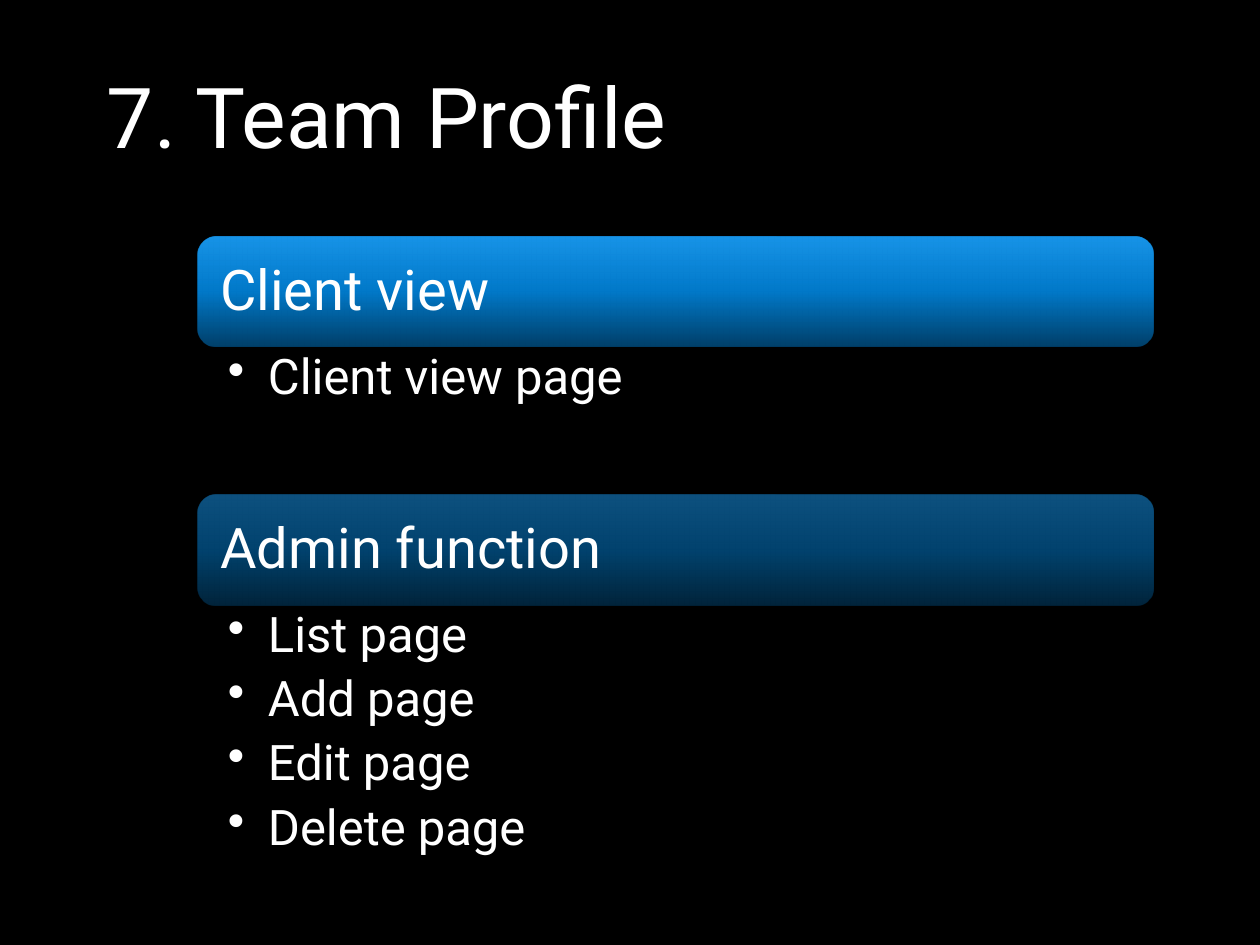
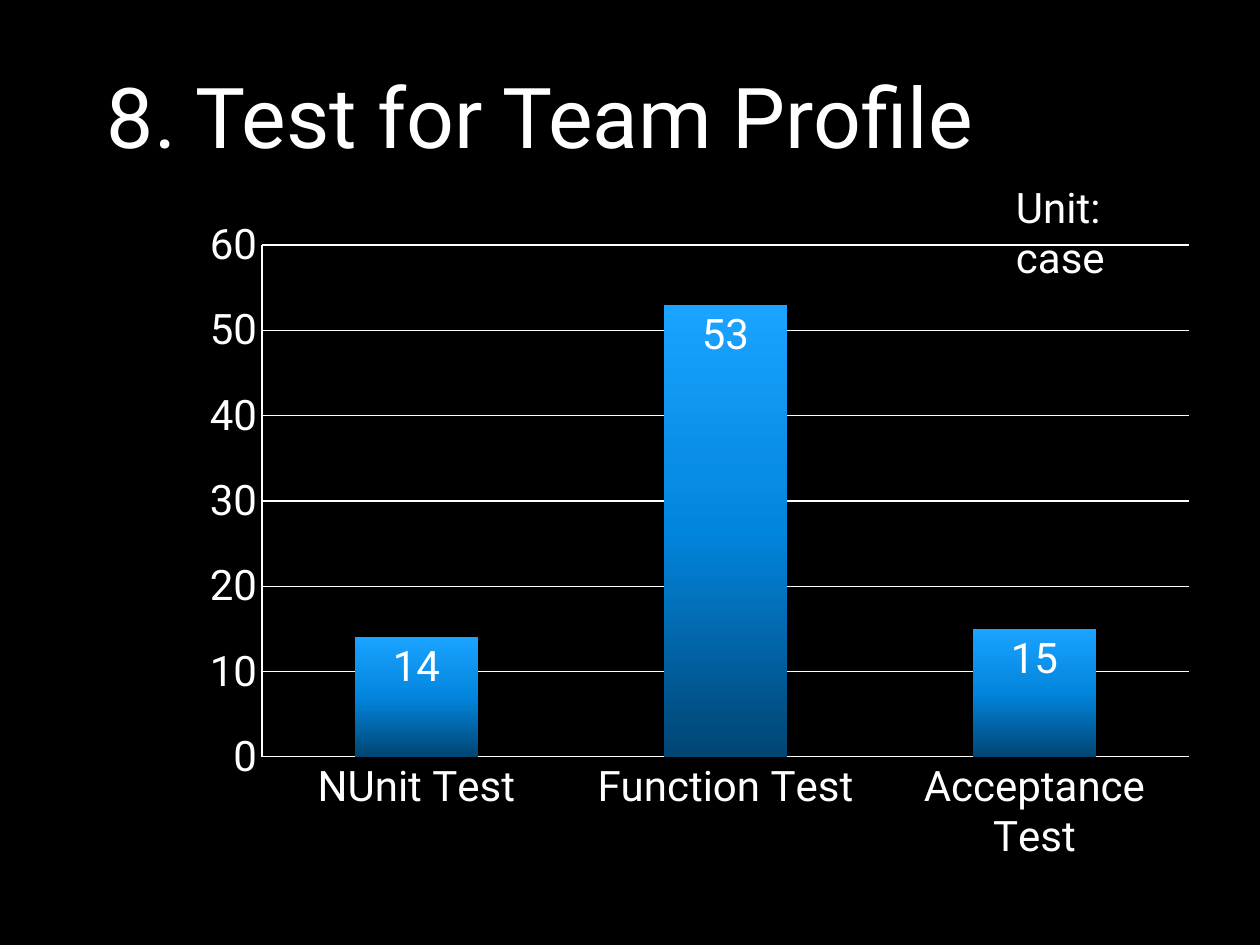
import pptx
import pptx.chart.data
import pptx.dml.color
import pptx.enum.chart
import pptx.enum.shapes
import pptx.enum.text
import pptx.oxml
import pptx.oxml.ns
import pptx.util

# Content
PROFILE_TITLE = "7. Team Profile"
SECTIONS = [
    # heading, gradient opacity in %, list height, pages
    ("Client view", 90, 148, ["Client view page"]),
    ("Admin function", 50, 260,
     ["List page", "Add page", "Edit page", "Delete page"]),
]
TEST_TITLE = "8. Test for Team Profile"
UNIT = "Unit: case"
TESTS = {"NUnit Test": 14, "Function Test": 53, "Acceptance Test": 15}

# Shared style
PX = 914400 / 126
FONT = "Roboto"
BLACK = pptx.dml.color.RGBColor(0x00, 0x00, 0x00)
WHITE = pptx.dml.color.RGBColor(0xFF, 0xFF, 0xFF)
NAVY = pptx.dml.color.RGBColor(0x01, 0x45, 0x73)
BLUE = pptx.dml.color.RGBColor(0x02, 0x85, 0xDD)
SKY = pptx.dml.color.RGBColor(0x1A, 0xA3, 0xFF)
STOPS = [(0, NAVY), (50, BLUE), (100, SKY)]
MIDDLE = pptx.enum.text.MSO_ANCHOR.MIDDLE

# Places in px: left, top, width, height
TITLE_BOX = (94, 16, 1071, 197)
BAR_LEFT, BAR_TOP, BAR_WIDTH, BAR_HEIGHT = 198, 237, 955, 110
CHART_BOX = (189, 207, 1019, 669)
PLOT_BOX = (262, 245, 927, 512)
UNIT_BOX = (1003, 175, 205, 120)


def emu(*lengths):
    return [pptx.util.Emu(round(n * PX)) for n in lengths]


def style_font(font, size):
    values = {"name": FONT, "size": pptx.util.Pt(size), "bold": False}
    for name, value in values.items():
        setattr(font, name, value)
    font.color.rgb = WHITE


def write(tf, lines, size, anchor=None, insets=(13, 6, 13, 6), **para):
    """Fill a text frame, one paragraph a line; return the paragraphs."""
    tf.word_wrap = True
    tf.vertical_anchor = anchor
    for side, inset in zip(("left", "top", "right", "bottom"), emu(*insets)):
        setattr(tf, "margin_" + side, inset)
    for i, line in enumerate(lines):
        p = tf.add_paragraph() if i else tf.paragraphs[0]
        p.alignment = pptx.enum.text.PP_ALIGN.LEFT
        for name, value in para.items():
            setattr(p, name, value)
        r = p.add_run()
        r.text = line
        style_font(r.font, size)
    return tf.paragraphs


def add_text(slide, box, lines, size, **style):
    sp = slide.shapes.add_textbox(*emu(*box))
    return write(sp.text_frame, lines, size, **style)


def set_gradient(fill, element, opacity=100):
    """Three stops, dark at the bottom and light at the top."""
    fill.gradient()
    fill.gradient_angle = 90
    stops = "".join(
        f'<a:gs pos="{pos * 1000}"><a:srgbClr val="{color}">'
        f'<a:alpha val="{opacity * 1000}"/></a:srgbClr></a:gs>'
        for pos, color in STOPS)
    old = element.find(".//" + pptx.oxml.ns.qn("a:gsLst"))
    new = pptx.oxml.parse_xml(
        f'<a:gsLst {pptx.oxml.ns.nsdecls("a")}>{stops}</a:gsLst>')
    old.getparent().replace(old, new)


def add_bullet(p, indent):
    pPr = p._p.get_or_add_pPr()
    pPr.set("marL", str(indent))
    pPr.set("indent", str(-indent))
    pPr.append(pptx.oxml.parse_xml(
        f'<a:buChar {pptx.oxml.ns.nsdecls("a")} char="•"/>'))


def add_slide(prs, title):
    slide = prs.slides.add_slide(prs.slide_layouts[6])
    slide.background.fill.solid()
    slide.background.fill.fore_color.rgb = BLACK
    add_text(slide, TITLE_BOX, [title], 48, anchor=MIDDLE)
    return slide


def place_plot(chart):
    """Fix the inner plot area as fractions of the chart frame."""
    left, top, width, height = CHART_BOX
    x, y, w, h = PLOT_BOX
    parts = {"x": (x - left) / width, "y": (y - top) / height,
             "w": w / width, "h": h / height}
    modes = "".join(f'<c:{k}Mode val="edge"/>' for k in "xy")
    sizes = "".join(f'<c:{k} val="{v:.4f}"/>' for k, v in parts.items())
    area = chart._chartSpace.chart.plotArea
    for old in area.findall(pptx.oxml.ns.qn("c:layout")):
        area.remove(old)
    area.insert(0, pptx.oxml.parse_xml(
        f'<c:layout {pptx.oxml.ns.nsdecls("c")}><c:manualLayout>'
        f'<c:layoutTarget val="inner"/>{modes}{sizes}'
        '</c:manualLayout></c:layout>'))


def build_profile(prs):
    slide = add_slide(prs, PROFILE_TITLE)
    top = BAR_TOP
    for heading, opacity, list_height, pages in SECTIONS:
        # Heading bar
        sp = slide.shapes.add_shape(
            pptx.enum.shapes.MSO_SHAPE.ROUNDED_RECTANGLE,
            *emu(BAR_LEFT, top, BAR_WIDTH, BAR_HEIGHT))
        sp.shadow.inherit = False
        sp.line.fill.background()
        set_gradient(sp.fill, sp._element.spPr, opacity)
        write(sp.text_frame, [heading], 32, anchor=MIDDLE,
              insets=(17, 17, 17, 17), line_spacing=0.9)
        top += BAR_HEIGHT
        # Pages under it
        box = (BAR_LEFT, top, BAR_WIDTH, list_height)
        for p in add_text(slide, box, pages, 28, insets=(30, 5, 28, 5),
                          line_spacing=0.9, space_after=pptx.util.Pt(6.5)):
            add_bullet(p, emu(40)[0])
        top += list_height


def build_tests(prs):
    slide = add_slide(prs, TEST_TITLE)
    data = pptx.chart.data.CategoryChartData()
    data.categories = list(TESTS)
    data.add_series("Series 1", list(TESTS.values()))
    chart = slide.shapes.add_chart(
        pptx.enum.chart.XL_CHART_TYPE.COLUMN_CLUSTERED,
        *emu(*CHART_BOX), data).chart
    chart.has_legend = chart.has_title = False
    style_font(chart.font, 18)
    place_plot(chart)

    # Axes and gridlines
    axes = chart.category_axis, chart.value_axis
    for axis in axes:
        axis.major_tick_mark = pptx.enum.chart.XL_TICK_MARK.NONE
        style_font(axis.tick_labels.font, 24)
    scale = {"minimum_scale": 0, "maximum_scale": 60, "major_unit": 10,
             "has_major_gridlines": True}
    for name, value in scale.items():
        setattr(chart.value_axis, name, value)
    for part in (*axes, chart.value_axis.major_gridlines):
        part.format.line.color.rgb = WHITE
        part.format.line.width = pptx.util.Pt(0.75)

    # Columns and their values
    plot = chart.plots[0]
    plot.gap_width = 150
    plot.vary_by_categories = False
    ser = plot.series[0]
    set_gradient(ser.format.fill, ser._element)
    labels = ser.data_labels
    labels.show_value = True
    labels.position = pptx.enum.chart.XL_LABEL_POSITION.INSIDE_END
    style_font(labels.font, 24)

    add_text(slide, UNIT_BOX, [UNIT], 24)


def main():
    prs = pptx.Presentation()
    prs.slide_width, prs.slide_height = emu(1260, 945)
    build_profile(prs)
    build_tests(prs)
    prs.save("out.pptx")


if __name__ == "__main__":
    main()
